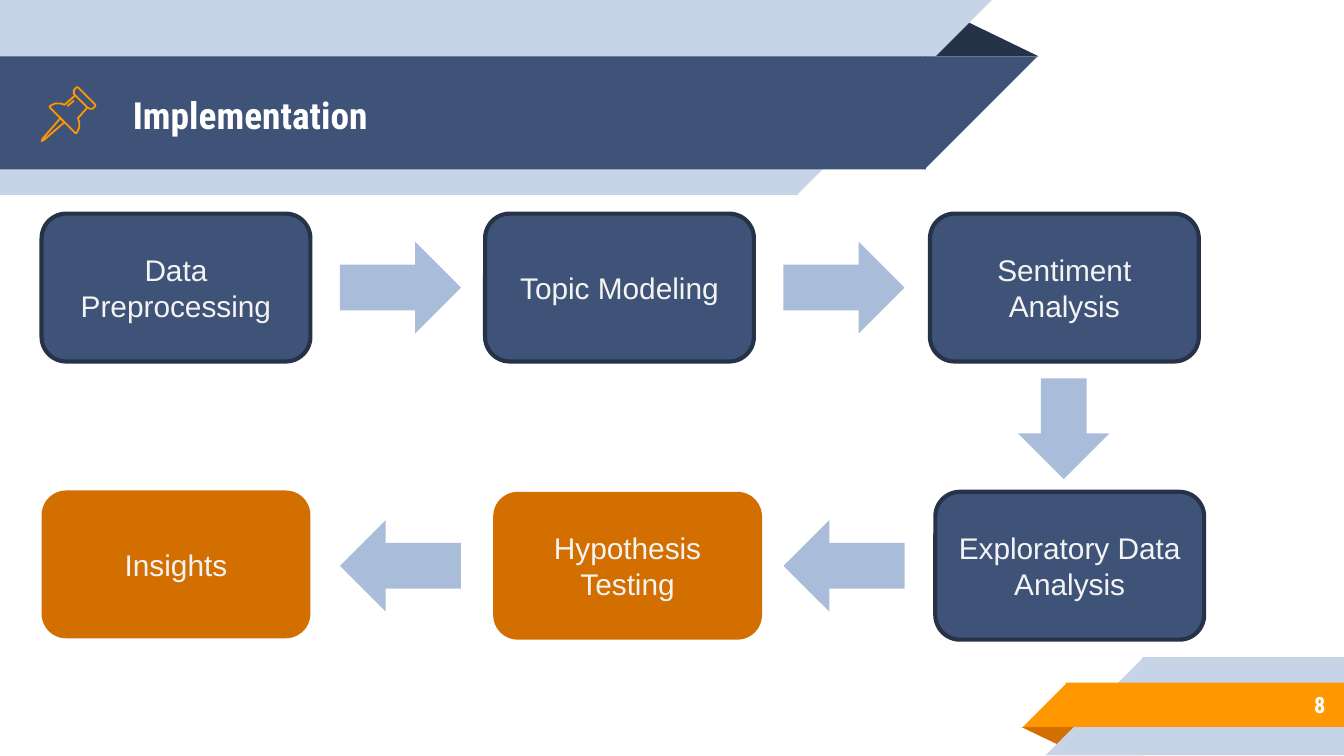
from pptx import Presentation
from pptx import util as u
from pptx.dml.color import RGBColor
from pptx.enum import shapes, text

NAVY = RGBColor(0x3F, 0x53, 0x78)
DARK_NAVY = RGBColor(0x26, 0x32, 0x48)
PALE_BLUE = RGBColor(0xC7, 0xD3, 0xE6)
ARROW_BLUE = RGBColor(0xA9, 0xBC, 0xD9)
ORANGE = RGBColor(0xFF, 0x98, 0x00)
DARK_ORANGE = RGBColor(0xD2, 0x6F, 0x00)
WHITE = RGBColor(0xFF, 0xFF, 0xFF)
LIGHT_GREY = RGBColor(0xF3, 0xF3, 0xF3)

# Widescreen, 16 to 9
SLIDE_WIDTH = 10
SLIDE_HEIGHT = SLIDE_WIDTH * 9 / 16
PRESET = shapes.MSO_SHAPE
SEAM = 0.01  # overlap that hides the joint inside a band

# Flow grid: three columns, two rows
GRID_LEFT, GRID_TOP = 0.31, 1.59
COLUMN, ROW = 3.3, 2.07
BOX_WIDTH, BOX_HEIGHT = 2, 1.1
ARROW_LENGTH, ARROW_HEIGHT = 0.9, 0.68

# Label, column, row, nudge right, nudge down, finished
STEPS = [
    ("Data Preprocessing", 0, 0, 0, 0, True),
    ("Topic Modeling", 1, 0, 0, 0, True),
    ("Sentiment Analysis", 2, 0, 0.01, 0, True),
    ("Exploratory Data Analysis", 2, 1, 0.05, 0, True),
    ("Hypothesis Testing", 1, 1, 0.06, 0, False),
    ("Insights", 0, 1, 0, -0.01, False),
]

# Pushpin outlines in hundredths of an inch: points, closed
PIN_NEEDLE = [(45, 88), (32, 103), (31, 105), (33, 104), (48, 91)]
PIN_CAP = [(56, 71), (65, 80), (67, 81), (69, 81), (70, 80), (71, 79), (71, 78),
           (58, 65), (57, 65), (56, 66), (55, 67), (55, 70)]
PIN_BODY = [(56, 71), (48, 78), (45, 77), (41, 77), (39, 78), (37, 79), (37, 80),
            (38, 81), (55, 98), (56, 99), (57, 99), (58, 97), (59, 95), (59, 91),
            (58, 88), (65, 80)]
PIN_SHINE = [(50, 79), (55, 75)]
PIN = [(PIN_NEEDLE, True), (PIN_CAP, True), (PIN_BODY, False), (PIN_SHINE, False)]


def add_filled(slide, preset, left, top, width, height, color, rotation=0):
    shape = slide.shapes.add_shape(
        preset, u.Inches(left), u.Inches(top), u.Inches(width), u.Inches(height))
    shape.shadow.inherit = False
    shape.fill.solid()
    shape.fill.fore_color.rgb = color
    shape.line.fill.background()
    shape.rotation = rotation
    return shape


def add_fold(slide, left, top, width, height, color, rotation=0):
    fold = add_filled(slide, PRESET.ISOSCELES_TRIANGLE, left, top, width, height,
                      color, rotation)
    fold.adjustments[0] = 0.32


def add_left_band(slide, top, width, height, color):
    """Band from the left edge whose right end slants at 45 degrees."""
    add_filled(slide, PRESET.RECTANGLE, 0, top, width, height, color)
    add_filled(slide, PRESET.RIGHT_TRIANGLE, width - SEAM, top, height, height,
               color, 90)


def add_right_band(slide, left, top, height, color):
    """Band to the right edge whose left end slants at 45 degrees."""
    add_filled(slide, PRESET.RECTANGLE, left, top, SLIDE_WIDTH - left, height, color)
    add_filled(slide, PRESET.RIGHT_TRIANGLE, left - height + SEAM, top, height,
               height, color, 270)


def write(shape, words, size, font_name, color, bold=False,
          alignment=text.PP_ALIGN.LEFT):
    frame = shape.text_frame
    frame.word_wrap = True
    frame.vertical_anchor = text.MSO_ANCHOR.MIDDLE
    frame.margin_left = frame.margin_right = u.Inches(0.1)
    frame.margin_top = frame.margin_bottom = u.Inches(0.1)
    frame.text = words
    paragraph = frame.paragraphs[0]
    paragraph.alignment = alignment
    font = paragraph.runs[0].font
    font.size, font.name, font.bold = u.Pt(size), font_name, bold
    font.color.rgb = color


def add_label(slide, words, left, top, width, height, size, alignment):
    box = slide.shapes.add_textbox(
        u.Inches(left), u.Inches(top), u.Inches(width), u.Inches(height))
    write(box, words, size, "Roboto Condensed", WHITE, True, alignment)


def add_outline(slide, points, closed):
    builder = slide.shapes.build_freeform(*points[0], scale=u.Inches(0.01))
    builder.add_line_segments(points[1:], close=closed)
    outline = builder.convert_to_shape()
    outline.shadow.inherit = False
    outline.fill.background()
    outline.line.color.rgb = ORANGE
    outline.line.width = u.Pt(0.96)


def add_step(slide, words, column, row, right, down, finished):
    box = add_filled(slide, PRESET.ROUNDED_RECTANGLE,
                     GRID_LEFT + column * COLUMN + right,
                     GRID_TOP + row * ROW + down,
                     BOX_WIDTH, BOX_HEIGHT, NAVY if finished else DARK_ORANGE)
    if finished:
        box.line.color.rgb = DARK_NAVY
        box.line.width = u.Pt(2.25)
    write(box, words, 16, "Arial", LIGHT_GREY, alignment=text.PP_ALIGN.CENTER)


def add_row_arrow(slide, gap, row, rotation):
    add_filled(slide, PRESET.RIGHT_ARROW,
               GRID_LEFT + BOX_WIDTH + 0.22 + gap * COLUMN,
               GRID_TOP + row * ROW + (BOX_HEIGHT - ARROW_HEIGHT) / 2,
               ARROW_LENGTH, ARROW_HEIGHT, ARROW_BLUE, rotation)


def main():
    presentation = Presentation()
    presentation.slide_width = u.Inches(SLIDE_WIDTH)
    presentation.slide_height = u.Inches(SLIDE_HEIGHT)
    slide = presentation.slides.add_slide(presentation.slide_layouts[6])

    # Footer ribbon
    add_fold(slide, 7.6, 5.41, 0.43, 0.14, DARK_ORANGE, 180)
    add_right_band(slide, 8.5, 4.89, 0.73, PALE_BLUE)
    add_right_band(slide, 7.93, 5.08, 0.33, ORANGE)

    # Header ribbon
    add_fold(slide, 6.88, 0.14, 0.85, 0.28, DARK_NAVY)
    add_left_band(slide, 0, 5.94, 1.45, PALE_BLUE)
    add_left_band(slide, 0.42, 6.89, 0.84, NAVY)

    # Title, page number and pushpin
    add_label(slide, "Implementation", 0.89, 0.43, 6.01, 0.84, 20, text.PP_ALIGN.LEFT)
    add_label(slide, "8", 8.33, 5.07, 1.63, 0.35, 12, text.PP_ALIGN.RIGHT)
    for points, closed in PIN:
        add_outline(slide, points, closed)

    # Flow: right along the first row, down, then back left
    for step in STEPS:
        add_step(slide, *step)
    for row, rotation in enumerate((0, 180)):
        for gap in range(2):
            add_row_arrow(slide, gap, row, rotation)
    add_filled(slide, PRESET.RIGHT_ARROW, 7.54, 2.85, 0.75, ARROW_HEIGHT,
               ARROW_BLUE, 90)

    presentation.save("out.pptx")


if __name__ == "__main__":
    main()
